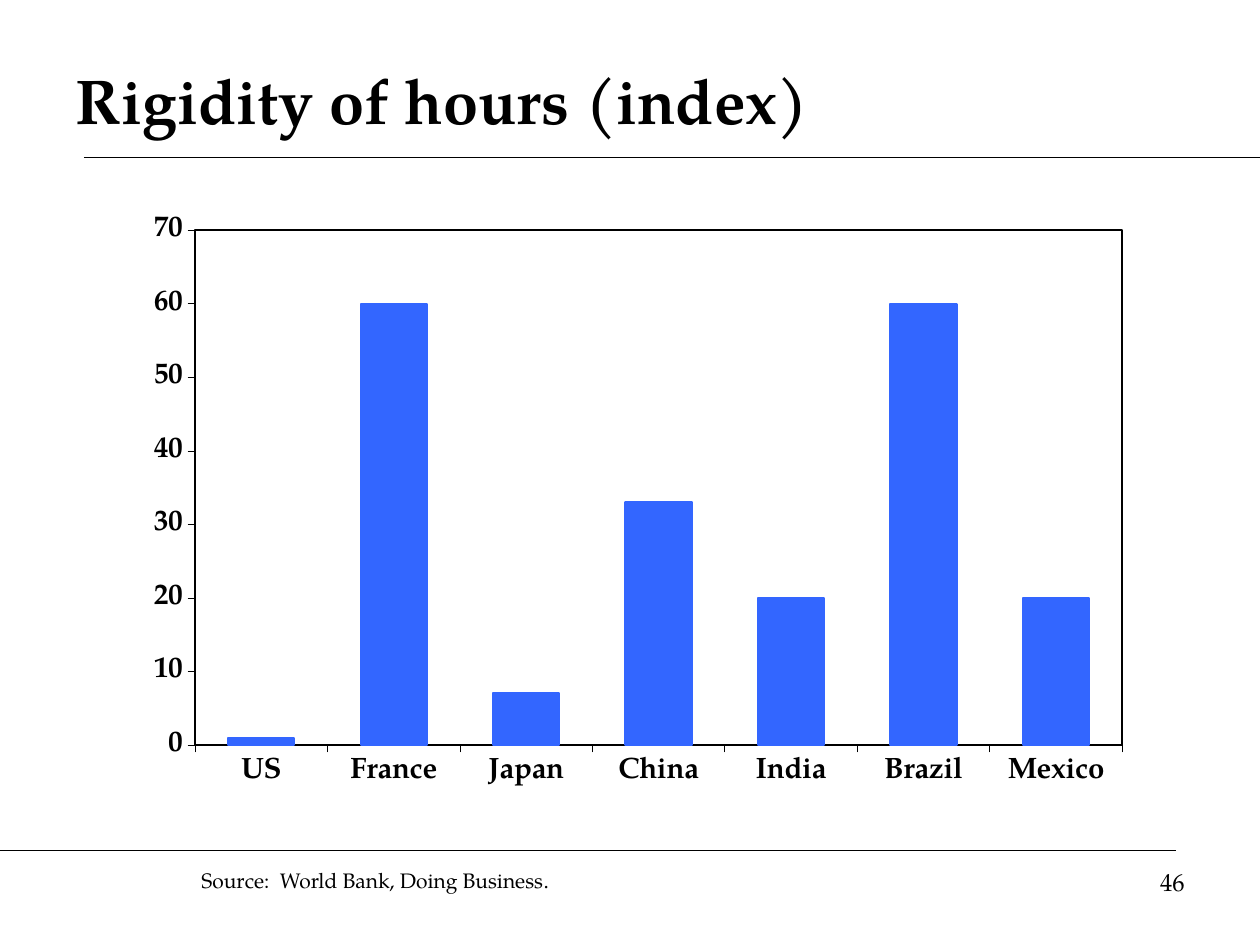
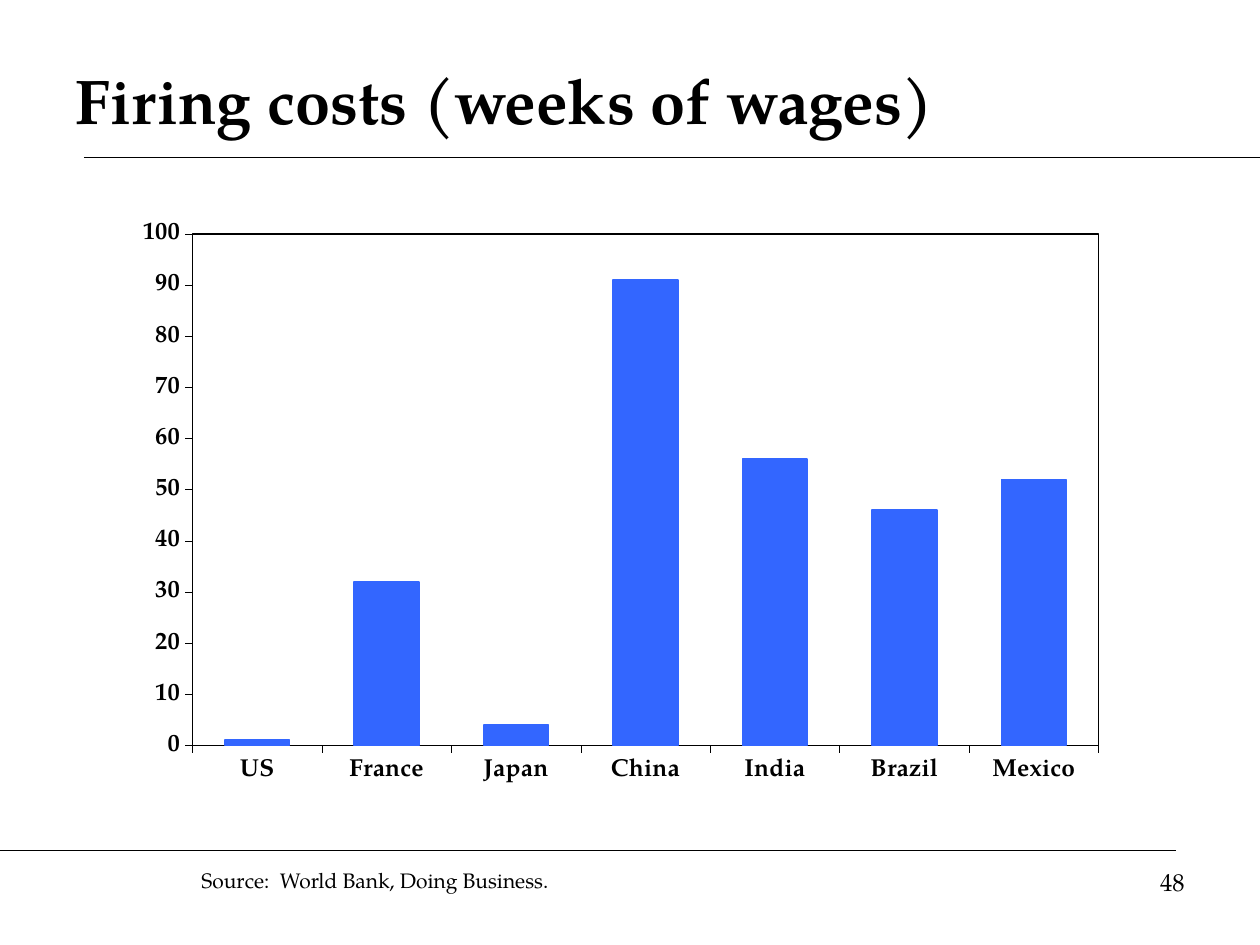
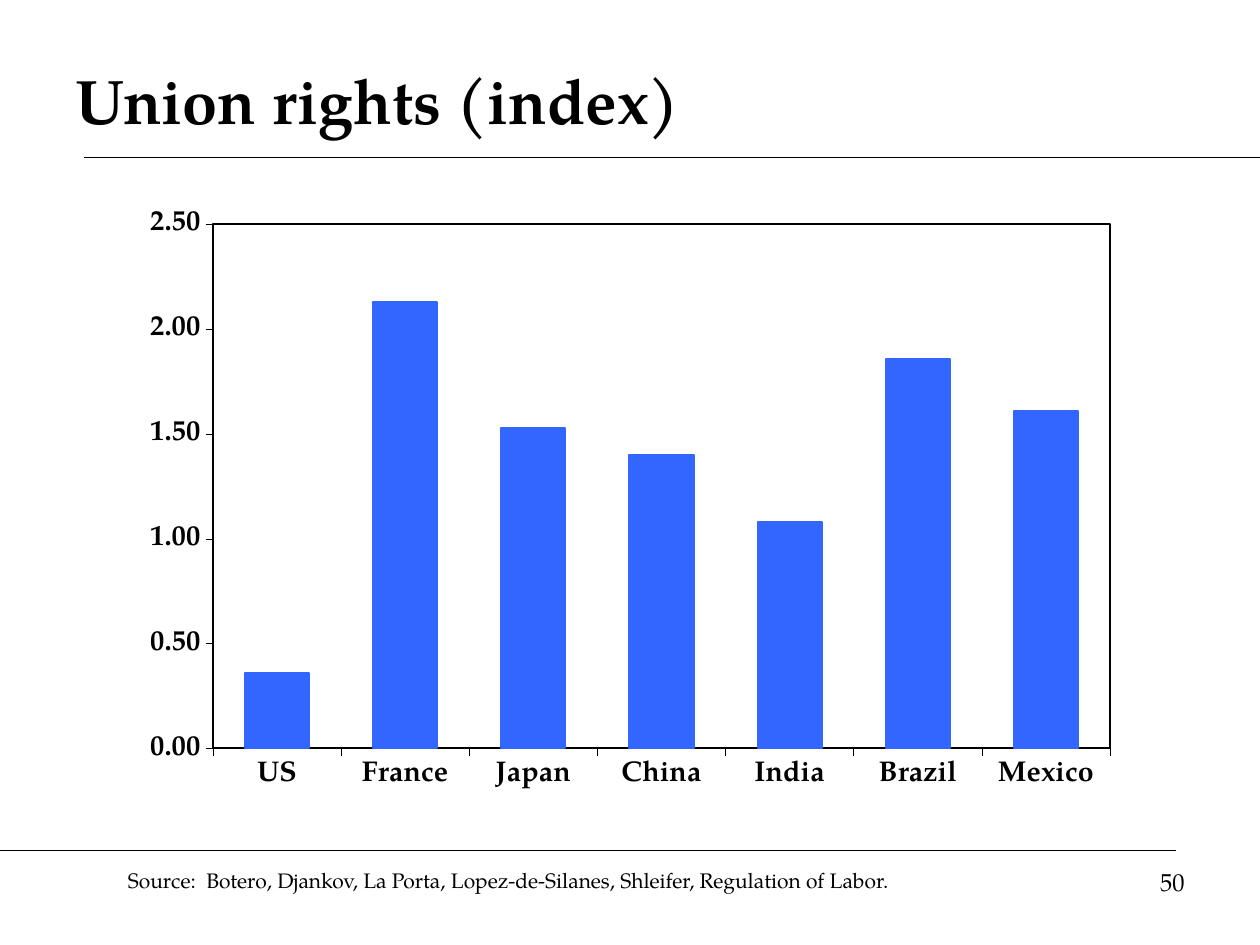
import dataclasses
import typing

import pptx
import pptx.chart.data
import pptx.dml.color
import pptx.enum.chart
import pptx.enum.text
import pptx.oxml
import pptx.util

PX = 9525
DRAW = "http://schemas.openxmlformats.org/drawingml/2006/main"
CHART = "http://schemas.openxmlformats.org/drawingml/2006/chart"
LANDS = ("US", "France", "Japan", "China", "India", "Brazil", "Mexico")


@dataclasses.dataclass(frozen=True)
class Theme:
    ink: str = "000000"
    bar: str = "3366FF"
    face: str = "TeX Gyre Pagella"
    base: str = "Times New Roman"
    title: int = 36
    page: int = 14
    source: int = 12
    rule: float = 0.75


class Box(typing.NamedTuple):
    left: int
    top: int
    width: int
    height: int


class Rule(typing.NamedTuple):
    start: int
    end: int
    y: int


class Plot(typing.NamedTuple):
    box: Box
    x: float
    width: float
    size: float
    top: float
    step: float
    form: str
    vals: tuple[float, ...]


class Page(typing.NamedTuple):
    title: str
    number: str
    source: str
    tail: str
    note: Box
    plot: Plot


THEME = Theme()
HEAD = Box(48, 32, 864, 88)
FOLIO = Box(688, 656, 224, 50)
NOTE = Box(144, 656, 688, 29)
SHARED = (Rule(64, 960, 120), Rule(0, 896, 648))
LOCAL = (Rule(120, 960, 120), Rule(0, 680, 648))
BANK = "Source:  World Bank, Doing Business"
LABOR = "Source:  Botero, Djankov, La Porta, Lopez-de-Silanes, Shleifer, Regulation of Labor."

PAGES = (
    Page("Rigidity of hours (index)", "46", BANK, ".", NOTE,
         Plot(Box(93, 141, 772, 499), 0.072, 0.915, 16.8, 70, 10, "#,##0",
              (1, 60, 7, 33, 20, 60, 20))),
    Page("Firing costs (weeks of wages)", "48", BANK + ".", "", NOTE,
         Plot(Box(80, 144, 767, 496), 0.087, 0.9, 14, 100, 10, "#,##0",
              (1, 32, 4, 91, 56, 46, 52))),
    Page("Union rights (index)", "50", LABOR, "", Box(88, 656, 656, 29),
         Plot(Box(88, 136, 767, 508), 0.097, 0.891, 16.3, 2.5, 0.5, "#,##0.00",
              (0.36, 2.13, 1.53, 1.4, 1.08, 1.86, 1.61))),
)


def scale(box: typing.Iterable[int]) -> list[int]:
    return [side * PX for side in box]


def tint(code: str):
    return pptx.dml.color.RGBColor.from_string(code)


def style(font, size: float, bold: bool = False, face: str = THEME.face) -> None:
    font.name = face
    font.size = pptx.util.Pt(size)
    font.bold = bold
    font.color.rgb = tint(THEME.ink)


def stroke(line, width: float, code: str = THEME.ink) -> None:
    line.color.rgb = tint(code)
    line.width = pptx.util.Pt(width)


def draw_rule(slide, rule: Rule):
    ends = scale((rule.start, rule.y, rule.end, rule.y))
    line = slide.shapes.add_connector(pptx.enum.shapes.MSO_CONNECTOR.STRAIGHT, *ends)
    stroke(line.line, THEME.rule)
    line.element.spPr.append(pptx.oxml.parse_xml(f'<a:effectLst xmlns:a="{DRAW}"/>'))
    return line


def draw_title(slide, text: str) -> None:
    title = slide.shapes.title
    title.left, title.top, title.width, title.height = scale(HEAD)
    title.text_frame.text = text
    title.text_frame.vertical_anchor = pptx.enum.text.MSO_ANCHOR.MIDDLE
    para = title.text_frame.paragraphs[0]
    para.alignment = pptx.enum.text.PP_ALIGN.LEFT
    style(para.font, THEME.title, True)


def draw_text(slide, box: Box, text: str, size: int, right: bool = False):
    frame = slide.shapes.add_textbox(*scale(box)).text_frame
    frame.word_wrap = True
    para = frame.paragraphs[0]
    para.text = text
    align = pptx.enum.text.PP_ALIGN
    para.alignment = align.RIGHT if right else align.LEFT
    style(para.font, size)
    return para


def frame_plot(chart, plot: Plot, width: float) -> None:
    area = chart.element.chart.plotArea
    for old in area.findall(f"{{{CHART}}}layout"):
        area.remove(old)
    sides = {"x": plot.x, "y": 0.069, "w": plot.width, "h": 0.786}
    modes = "".join(f'<c:{key}Mode val="edge"/>' for key in "xy")
    sizes = "".join(f'<c:{key} val="{val}"/>' for key, val in sides.items())
    area.insert(0, pptx.oxml.parse_xml(
        f'<c:layout xmlns:c="{CHART}"><c:manualLayout><c:layoutTarget val="inner"/>'
        f"{modes}{sizes}</c:manualLayout></c:layout>"))
    area.append(pptx.oxml.parse_xml(
        f'<c:spPr xmlns:c="{CHART}" xmlns:a="{DRAW}"><a:noFill/>'
        f'<a:ln w="{pptx.util.Pt(width)}"><a:solidFill><a:srgbClr val="{THEME.ink}"/>'
        "</a:solidFill></a:ln></c:spPr>"))


def draw_chart(slide, plot: Plot) -> None:
    kinds = pptx.enum.chart
    data = pptx.chart.data.CategoryChartData(number_format=plot.form)
    data.categories = LANDS
    data.add_series("Series 1", plot.vals)
    chart = slide.shapes.add_chart(
        kinds.XL_CHART_TYPE.COLUMN_CLUSTERED, *scale(plot.box), data).chart
    chart.has_legend = False
    chart.has_title = False
    base = round(plot.size * 9 / 7, 1)
    style(chart.font, base, True, THEME.base)
    for axis in (chart.category_axis, chart.value_axis):
        axis.has_major_gridlines = False
        axis.major_tick_mark = kinds.XL_TICK_MARK.OUTSIDE
        axis.minor_tick_mark = kinds.XL_TICK_MARK.NONE
        style(axis.tick_labels.font, plot.size, True)
        stroke(axis.format.line, round(base / 72, 2))
    value = chart.value_axis
    value.minimum_scale = 0
    value.maximum_scale = plot.top
    value.major_unit = plot.step
    value.tick_labels.number_format = plot.form
    value.tick_labels.number_format_is_linked = False
    bars = chart.plots[0]
    bars.gap_width = 100
    bars.vary_by_categories = False
    series = bars.series[0]
    series.invert_if_negative = False
    series.format.fill.solid()
    series.format.fill.fore_color.rgb = tint(THEME.bar)
    width = round(base / 18, 2)
    stroke(series.format.line, width, THEME.bar)
    frame_plot(chart, plot, width)


def draw_page(slide, page: Page) -> None:
    draw_title(slide, page.title)
    for rule in LOCAL:
        draw_rule(slide, rule)
    draw_chart(slide, page.plot)
    note = draw_text(slide, page.note, page.source, THEME.source)
    if page.tail:
        run = note.add_run()
        run.text = page.tail
        run.font.name = THEME.base
    draw_text(slide, FOLIO, page.number, THEME.page, True)


def main() -> None:
    deck = pptx.Presentation()
    deck.slide_width, deck.slide_height = scale((960, 720))
    layout = deck.slide_layouts.get_by_name("Title Only")
    slides = [deck.slides.add_slide(layout) for _ in PAGES]
    for rule in SHARED:
        layout.shapes.element.append(draw_rule(slides[0], rule).element)
    for slide, page in zip(slides, PAGES):
        draw_page(slide, page)
    deck.save("out.pptx")


if __name__ == "__main__":
    main()
